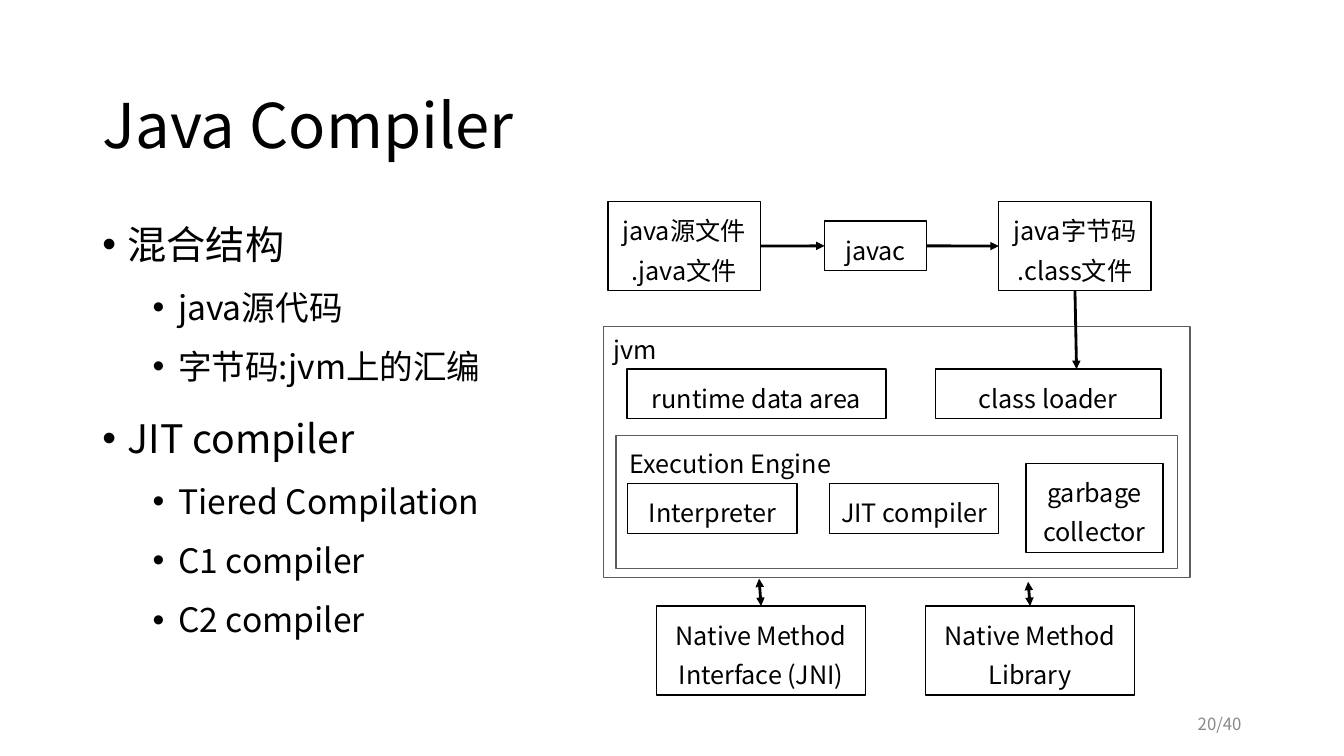
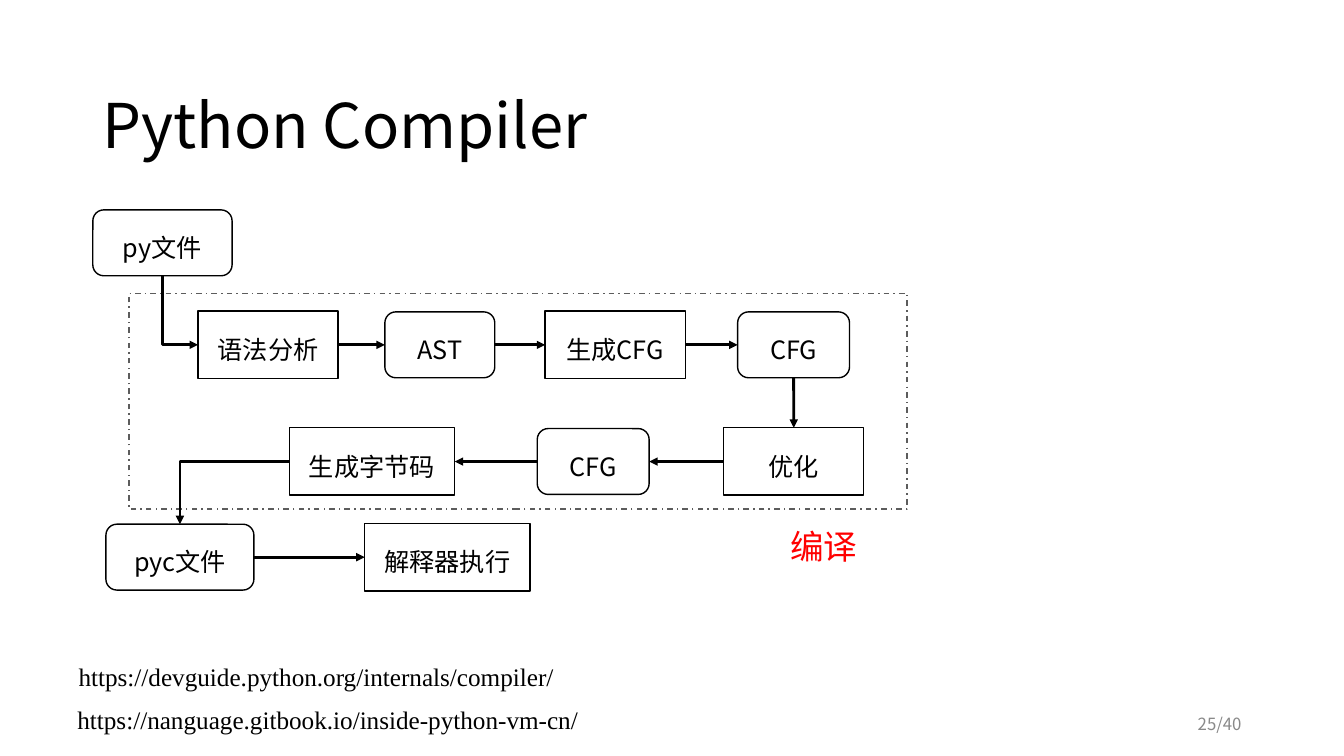
from dataclasses import dataclass

import lxml.etree
import pptx
import pptx.dml.color
import pptx.enum.dml
import pptx.enum.shapes
import pptx.enum.text
import pptx.oxml.ns
import pptx.util

Cm = pptx.util.Cm
Pt = pptx.util.Pt
qn = pptx.oxml.ns.qn
ALIGN = pptx.enum.text.PP_ALIGN
ANCHOR = pptx.enum.text.MSO_ANCHOR
KIND = pptx.enum.shapes.MSO_SHAPE
LINK = pptx.enum.shapes.MSO_CONNECTOR
TOP, LEFT, BOTTOM, RIGHT = range(4)  # connection sites of a box


@dataclass(frozen=True)
class Theme:
    ink: str = "000000"
    frame: str = "5C5C5C"
    muted: str = "898989"
    accent: str = "FF0000"
    sans: str = "Noto Sans CJK SC"
    sans_step: str = "Noto Sans CJK JP"
    serif: str = "Times New Roman"
    title: int = 44
    topic: int = 28
    detail: int = 24
    label: int = 18
    footer: int = 12
    spacing: float = 1.3
    thin: int = 1
    arrow: int = 2


class Deck:
    """Holds the style and the slide being built; lengths are in cm."""

    def __init__(self, theme):
        self.theme = theme
        self.file = pptx.Presentation()
        self.file.slide_width, self.file.slide_height = Cm(33.87), Cm(19.05)
        self.slide = None

    def new_slide(self, title, number):
        t = self.theme
        self.slide = self.file.slides.add_slide(self.file.slide_layouts[5])
        heading = self.slide.shapes.title
        heading.left, heading.top = Cm(2.33), Cm(1.01)
        heading.width, heading.height = Cm(29.21), Cm(3.68)
        heading.text_frame.vertical_anchor = ANCHOR.MIDDLE
        self.fill_text(heading.text_frame, [title], t.title, ALIGN.LEFT)
        self.text((23.92, 17.66, 7.62, 1.01), number, t.footer, t.muted,
                  align=ALIGN.RIGHT, anchor=ANCHOR.MIDDLE)

    def style(self, paragraph, size, align=ALIGN.LEFT, color=None, font=None):
        t = self.theme
        paragraph.alignment = align
        paragraph.line_spacing = t.spacing
        paragraph.font.size = Pt(size)
        paragraph.font.name = font or t.sans
        paragraph.font.color.rgb = pptx.dml.color.RGBColor.from_string(color or t.ink)
        defaults = paragraph._p.pPr.find(qn("a:defRPr"))
        lxml.etree.SubElement(defaults, qn("a:ea"), typeface=font or t.sans)

    def fill_text(self, frame, lines, size, align, color=None, font=None):
        for i, line in enumerate(lines):
            paragraph = frame.add_paragraph() if i else frame.paragraphs[0]
            paragraph.text = line
            self.style(paragraph, size, align, color, font)

    def text(self, area, words, size, color=None, font=None,
             align=ALIGN.LEFT, anchor=ANCHOR.TOP):
        frame = self.slide.shapes.add_textbox(*map(Cm, area)).text_frame
        frame.word_wrap = True
        frame.vertical_anchor = anchor
        self.fill_text(frame, [words], size, align, color, font)

    def bullets(self, area, topics):
        t = self.theme
        frame = self.slide.shapes.add_textbox(*map(Cm, area)).text_frame
        frame.word_wrap = True
        rows = [row for topic, details in topics
                for row in [(0, topic)] + [(1, detail) for detail in details]]
        for i, (level, words) in enumerate(rows):
            paragraph = frame.add_paragraph() if i else frame.paragraphs[0]
            paragraph.text = words
            paragraph.level = level
            if i:
                paragraph.space_before = Pt(5 if level else 10)
            props = paragraph._p.get_or_add_pPr()
            props.set("marL", str(Cm(1.91 if level else 0.64)))
            props.set("indent", str(Cm(-0.64)))
            lxml.etree.SubElement(props, qn("a:buFont"), typeface="Arial")
            lxml.etree.SubElement(props, qn("a:buChar"), char="•")
            self.style(paragraph, t.detail if level else t.topic)

    def outline(self, area, kind=KIND.RECTANGLE, color=None, dash=None):
        shape = self.slide.shapes.add_shape(kind, *map(Cm, area))
        shape.shadow.inherit = False
        shape.fill.background()
        shape.line.width = Pt(self.theme.thin)
        shape.line.color.rgb = pptx.dml.color.RGBColor.from_string(color or self.theme.ink)
        if dash:
            shape.line.dash_style = dash
        return shape

    def box(self, area, *lines, kind=KIND.RECTANGLE, font=None, anchor=ANCHOR.TOP):
        shape = self.outline(area, kind)
        frame = shape.text_frame
        frame.word_wrap = True
        frame.margin_left = frame.margin_right = Cm(0.1)
        frame.vertical_anchor = anchor
        self.fill_text(frame, lines, self.theme.label, ALIGN.CENTER, font=font)
        return shape

    def step(self, left, middle, width, words):
        """A processing step, centred on the height of its row."""
        return self.box((left, middle - 0.85, width, 1.7), words,
                        font=self.theme.sans_step, anchor=ANCHOR.MIDDLE)

    def data(self, left, middle, width, words):
        """A rounded box for what passes between steps."""
        return self.box((left, middle - 0.83, width, 1.66), words,
                        kind=KIND.ROUNDED_RECTANGLE, anchor=ANCHOR.MIDDLE)

    def arrow(self, start, end, heads=("tailEnd",), bent=False):
        """Each end is a (box, site) pair or an (x, y) point."""
        link = self.slide.shapes.add_connector(
            LINK.ELBOW if bent else LINK.STRAIGHT, 0, 0, 0, 0)
        if isinstance(start[0], (int, float)):
            link.begin_x, link.begin_y = map(Cm, start)
        else:
            link.begin_connect(*start)
        if isinstance(end[0], (int, float)):
            link.end_x, link.end_y = map(Cm, end)
        else:
            link.end_connect(*end)
        link.line.width = Pt(self.theme.arrow)
        link.line.color.rgb = pptx.dml.color.RGBColor.from_string(self.theme.ink)
        props = link._element.spPr
        if bent:  # one corner: across first, then up or down
            props.find(qn("a:prstGeom")).set("prst", "bentConnector2")
        for head in heads:
            lxml.etree.SubElement(props.find(qn("a:ln")), qn(f"a:{head}"), type="triangle")
        lxml.etree.SubElement(props, qn("a:effectLst"))


def java_slide(deck):
    t = deck.theme
    deck.new_slide("Java Compiler", "20/40")
    deck.bullets((2.33, 5.08, 12, 12.09), [
        ("混合结构", ["java源代码", "字节码:jvm上的汇编"]),
        ("JIT compiler", ["Tiered Compilation", "C1 compiler", "C2 compiler"]),
    ])

    # From source file to bytecode
    source = deck.box((15.32, 5.08, 3.84, 2.24), "java源文件", ".java文件")
    javac = deck.box((20.78, 5.57, 2.57, 1.25), "javac")
    bytecode = deck.box((25.17, 5.08, 3.84, 2.24), "java字节码", ".class文件")

    # Virtual machine
    deck.outline((15.21, 8.23, 14.78, 6.32), color=t.frame)
    deck.text((15.21, 8.08, 2.03, 1.25), "jvm", t.label)
    deck.box((15.8, 9.3, 6.53, 1.25), "runtime data area")
    deck.box((23.57, 9.3, 5.69, 1.25), "class loader")
    deck.outline((15.52, 10.97, 14.15, 3.35), color=t.frame)
    deck.text((15.62, 10.95, 6.58, 1.25), "Execution Engine", t.label)
    for left, engine in ((15.82, "Interpreter"), (20.9, "JIT compiler")):
        deck.box((left, 12.19, 4.27, 1.25), engine)
    deck.box((25.86, 11.68, 3.45, 2.24), "garbage collector")

    # Native side
    interface, library = [
        deck.box((left, 15.27, 5.28, 2.24), words)
        for left, words in ((16.54, "Native Method Interface (JNI)"),
                            (23.32, "Native Method Library"))]

    # Flow
    deck.arrow((source, RIGHT), (javac, LEFT))
    deck.arrow((javac, RIGHT), (bytecode, LEFT))
    deck.arrow((bytecode, BOTTOM), (27.13, 9.3))
    both = ("headEnd", "tailEnd")
    deck.arrow((19.13, 14.58), (interface, TOP), both)
    deck.arrow((25.91, 14.66), (library, TOP), both)


def python_slide(deck):
    t = deck.theme
    deck.new_slide("Python Compiler", "25/40")

    # Compilation stage
    deck.outline((3.25, 7.39, 19.61, 5.44), color=t.frame,
                 dash=pptx.enum.dml.MSO_LINE.DASH_DOT)
    deck.text((19.66, 12.83, 3.51, 1.57), "编译", t.detail, t.accent)

    # Boxes, row by row
    analysis_row, optimise_row, run_row = 8.69, 11.63, 14.04
    py_file = deck.data(2.34, 6.12, 3.51, "py文件")
    syntax = deck.step(4.99, analysis_row, 3.53, "语法分析")
    ast = deck.data(9.7, analysis_row, 2.77, "AST")
    build_cfg = deck.step(13.74, analysis_row, 3.53, "生成CFG")
    cfg = deck.data(18.59, analysis_row, 2.82, "CFG")
    optimise = deck.step(18.24, optimise_row, 3.53, "优化")
    better_cfg = deck.data(13.54, optimise_row, 2.82, "CFG")
    emit = deck.step(7.29, optimise_row, 4.17, "生成字节码")
    pyc_file = deck.data(2.67, run_row, 3.73, "pyc文件")
    run = deck.step(9.19, run_row, 4.17, "解释器执行")

    # Flow
    deck.arrow((syntax, LEFT), (py_file, BOTTOM), ("headEnd",), bent=True)
    for before, after in ((syntax, ast), (ast, build_cfg), (build_cfg, cfg),
                          (pyc_file, run)):
        deck.arrow((before, RIGHT), (after, LEFT))
    deck.arrow((cfg, BOTTOM), (optimise, TOP))
    for before, after in ((optimise, better_cfg), (better_cfg, emit)):
        deck.arrow((before, LEFT), (after, RIGHT))
    deck.arrow((emit, LEFT), (pyc_file, TOP), bent=True)

    # Sources
    for left, top, address in (
            (1.73, 16.31, "https://devguide.python.org/internals/compiler/"),
            (1.7, 17.4, "https://nanguage.gitbook.io/inside-python-vm-cn/")):
        deck.text((left, top, 14.68, 1.25), address, t.label, font=t.serif)


def main():
    deck = Deck(Theme())
    java_slide(deck)
    python_slide(deck)
    deck.file.save("out.pptx")


if __name__ == "__main__":
    main()
